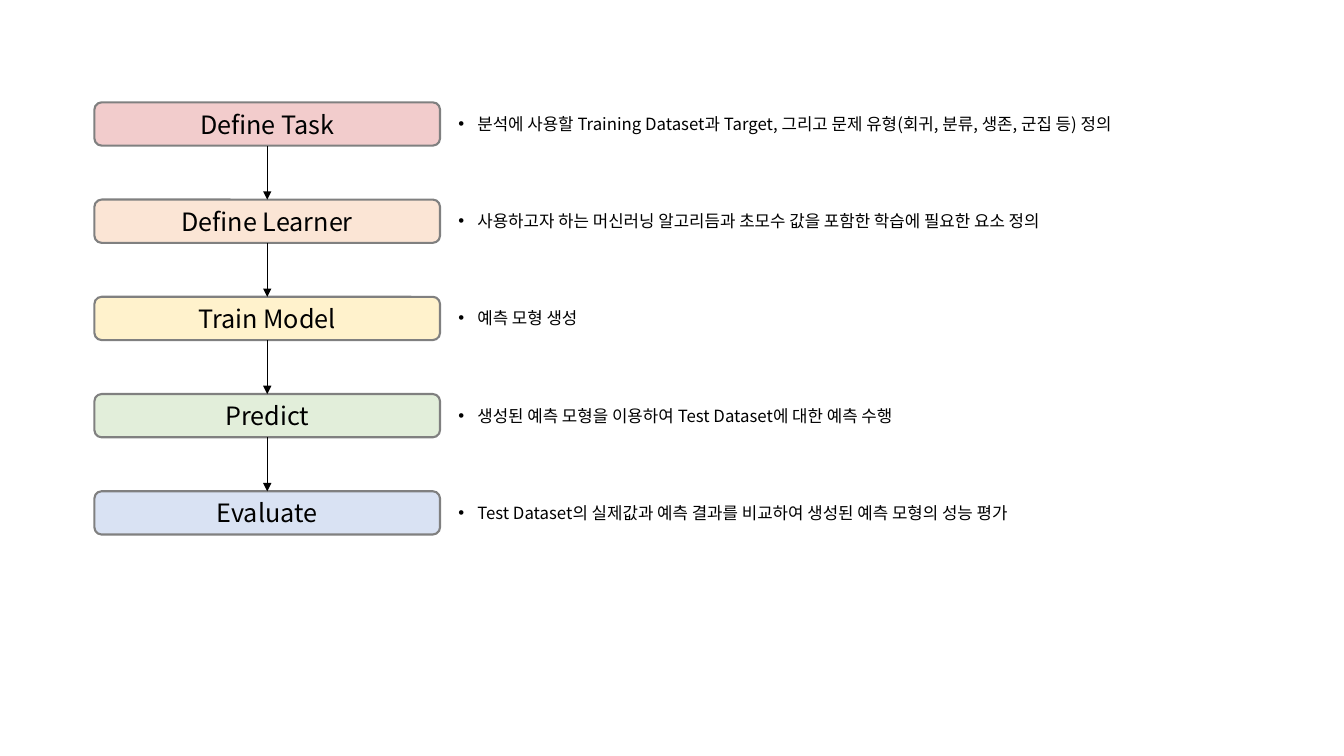
from lxml.etree import SubElement
from pptx import Presentation
from pptx.dml.color import RGBColor
from pptx.enum.shapes import MSO_CONNECTOR, MSO_SHAPE
from pptx.enum.text import MSO_ANCHOR, MSO_AUTO_SIZE, PP_ALIGN
from pptx.oxml.ns import qn
from pptx.util import Cm, Pt

FONT = "Noto Sans CJK KR"


def rgb(hex_color):
    return RGBColor.from_string(hex_color)


def format_text(paragraph, size):
    for run in paragraph.runs:
        run.font.size = Pt(size)
        run.font.color.rgb = rgb("000000")
        run.font.name = FONT
        SubElement(run.font._element, qn("a:ea"), typeface=FONT)


prs = Presentation()
prs.slide_width, prs.slide_height = Cm(33.87), Cm(19.05)
slide = prs.slides.add_slide(prs.slide_layouts[6])

# Stage name, tint, description, description width in cm
stages = [
    ("Define Task", "C00000",
     "분석에 사용할 Training Dataset과 Target, 그리고 문제 유형(회귀, 분류, 생존, 군집 등) 정의", 18.24),
    ("Define Learner", "ED7D31",
     "사용하고자 하는 머신러닝 알고리듬과 초모수 값을 포함한 학습에 필요한 요소 정의", 17.02),
    ("Train Model", "FFC000", "예측 모형 생성", 4.8),
    ("Predict", "70AD47",
     "생성된 예측 모형을 이용하여 Test Dataset에 대한 예측 수행", 13.36),
    ("Evaluate", "4472C4",
     "Test Dataset의 실제값과 예측 결과를 비교하여 생성된 예측 모형의 성능 평가", 16.26),
]
first_top, step = 2.58, 2.45
stage_left, stage_width, stage_height = 2.38, 8.71, 1.09
middle = stage_left + stage_width / 2
previous = None

for index, (name, tint, description, width) in enumerate(stages):
    top = first_top + index * step

    # Stage box with a pale, see-through fill
    stage = slide.shapes.add_shape(
        MSO_SHAPE.ROUNDED_RECTANGLE,
        Cm(stage_left), Cm(top), Cm(stage_width), Cm(stage_height))
    stage.shadow.inherit = False
    stage.fill.solid()
    stage.fill.fore_color.rgb = rgb(tint)
    tint_color = stage._element.spPr.find(qn("a:solidFill"))[0]
    SubElement(tint_color, qn("a:alpha"), val="20000")
    stage.line.color.rgb = rgb("808080")
    stage.line.width = Pt(1.5)
    stage.text_frame.text = name
    stage.text_frame.vertical_anchor = MSO_ANCHOR.MIDDLE
    stage.text_frame.paragraphs[0].alignment = PP_ALIGN.CENTER
    format_text(stage.text_frame.paragraphs[0], 18)

    # Arrow from the stage above
    if previous is not None:
        arrow = slide.shapes.add_connector(
            MSO_CONNECTOR.STRAIGHT,
            Cm(middle), Cm(top - step + stage_height), Cm(middle), Cm(top))
        arrow.begin_connect(previous, 2)
        arrow.end_connect(stage, 0)
        arrow.line.color.rgb = rgb("000000")
        arrow.line.width = Pt(0.5)
        SubElement(arrow.line._get_or_add_ln(), qn("a:tailEnd"), type="triangle")
        SubElement(arrow._element.spPr, qn("a:effectLst"))
    previous = stage

    # Bulleted description
    note = slide.shapes.add_textbox(
        Cm(11.3), Cm(top + 0.16), Cm(width), Cm(0.77)).text_frame
    note.word_wrap = True
    note.auto_size = MSO_AUTO_SIZE.SHAPE_TO_FIT_TEXT
    note.text = description
    bullet = note.paragraphs[0]
    format_text(bullet, 12)
    bullet_props = bullet._p.get_or_add_pPr()
    bullet_props.set("marL", str(Cm(0.48)))
    bullet_props.set("indent", str(Cm(-0.48)))
    SubElement(bullet_props, qn("a:buFont"), typeface="Arial")
    SubElement(bullet_props, qn("a:buChar"), char="•")

prs.save("out.pptx")
